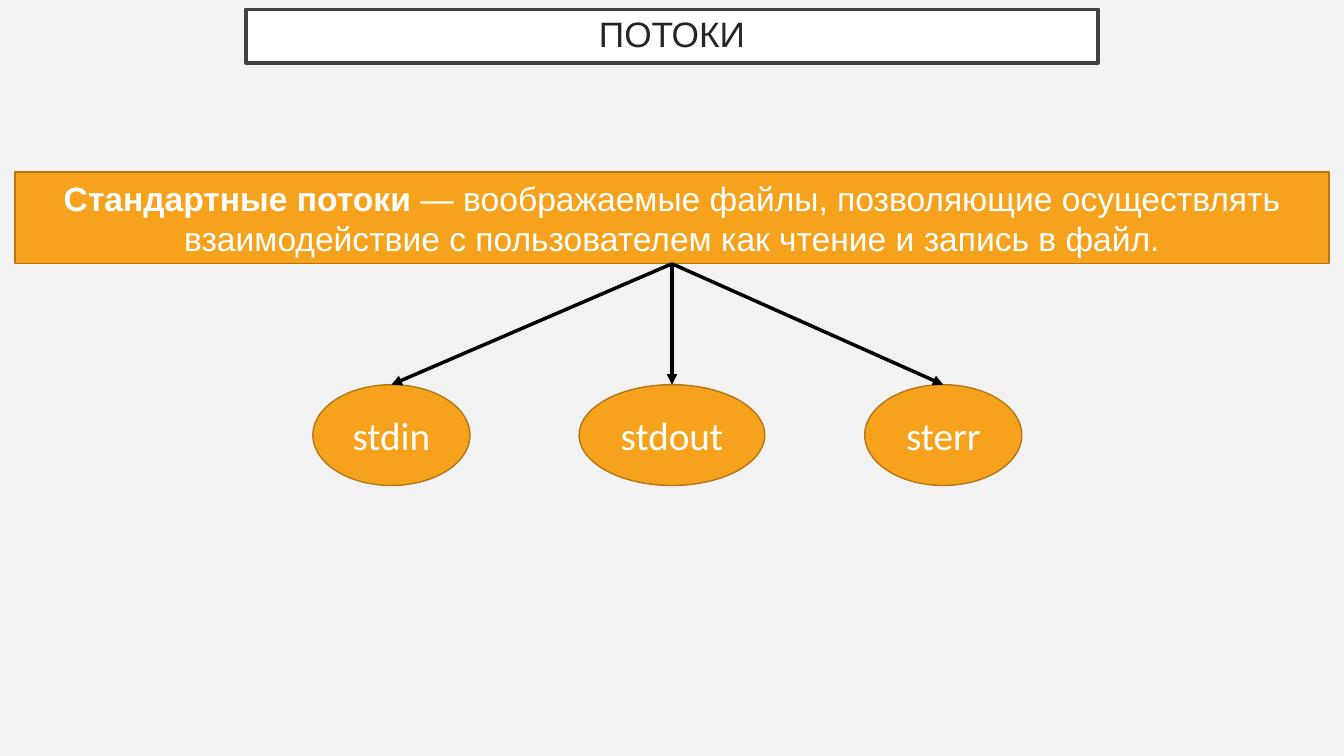
from dataclasses import dataclass

from lxml.etree import SubElement
from pptx import Presentation
from pptx.dml.color import RGBColor
from pptx.enum.shapes import MSO_CONNECTOR as Conn, MSO_SHAPE as Preset
from pptx.enum.text import MSO_ANCHOR as Anchor, MSO_AUTO_SIZE as AutoSize, PP_ALIGN as Align
from pptx.oxml.ns import qn
from pptx.shapes.autoshape import Shape
from pptx.slide import Slide
from pptx.util import Inches, Pt

COLUMNS, ROWS = 16, 9
CELL = Inches(7.5) // ROWS
BOTTOM_SITE, TOP_SITE = 2, 0


@dataclass(frozen=True)
class Theme:
    background: str = "F2F2F2"
    title_fill: str = "FFFFFF"
    title_line: str = "404040"
    title_text: str = "262626"
    accent: str = "F6A21D"
    accent_line: str = "B37615"
    accent_text: str = "FFFFFF"
    arrow: str = "000000"
    text_font: str = "Arial"
    stream_font: str = "Calibri"
    title_size: float = 25.2
    text_size: float = 24
    stream_size: float = 28
    thick: float = 2.5
    thin: float = 1


@dataclass(frozen=True)
class Box:
    """A box in grid columns and rows, placed by its horizontal centre."""
    center: float
    top: float
    width: float
    height: float


@dataclass(frozen=True)
class Stream:
    name: str
    center: float
    width: float


THEME = Theme()
TITLE = Box(COLUMNS / 2, 0.11, 10.14, 0.64)
BANNER = Box(COLUMNS / 2, 2.05, 15.64, 1.09)
STREAM_TOP, STREAM_HEIGHT = 4.58, 1.2
STREAMS = (
    Stream("stdin", 4.66, 1.87),
    Stream("stdout", COLUMNS / 2, 2.21),
    Stream("sterr", 11.23, 1.87),
)


def grid(cells: float) -> int:
    return round(cells * CELL)


def bounds(box: Box) -> tuple[int, int, int, int]:
    """Left, top, width and height in slide units."""
    return (grid(box.center - box.width / 2), grid(box.top),
            grid(box.width), grid(box.height))


def paint(sp: Shape, fill: str, line: str, width: float) -> None:
    sp.fill.solid()
    sp.fill.fore_color.rgb = RGBColor.from_string(fill)
    sp.line.color.rgb = RGBColor.from_string(line)
    sp.line.width = Pt(width)


def write(sp: Shape, runs: dict[str, bool], font: str, size: float, color: str) -> None:
    """Fill the shape with one centred paragraph; runs map text to bold."""
    tf = sp.text_frame
    tf.word_wrap = True
    tf.auto_size = AutoSize.NONE
    tf.vertical_anchor = Anchor.MIDDLE
    p = tf.paragraphs[0]
    p.alignment = Align.CENTER
    for text, bold in runs.items():
        r = p.add_run()
        r.text = text
        r.font.name = font
        r.font.size = Pt(size)
        r.font.bold = bold
        r.font.color.rgb = RGBColor.from_string(color)


def add_title(s: Slide) -> None:
    sp = s.shapes.title
    sp.left, sp.top, sp.width, sp.height = bounds(TITLE)
    paint(sp, THEME.title_fill, THEME.title_line, THEME.thick)
    write(sp, {"ПОТОКИ": False}, THEME.text_font, THEME.title_size, THEME.title_text)
    tf = sp.text_frame
    tf.margin_top = tf.margin_bottom = 0
    tf.paragraphs[0].line_spacing = 0.9


def add_accent(s: Slide, preset: Preset, box: Box, runs: dict[str, bool],
               font: str, size: float) -> Shape:
    sp = s.shapes.add_shape(preset, *bounds(box))
    sp.shadow.inherit = False
    paint(sp, THEME.accent, THEME.accent_line, THEME.thin)
    write(sp, runs, font, size, THEME.accent_text)
    return sp


def add_arrow(s: Slide, start: Shape, end: Shape) -> None:
    cn = s.shapes.add_connector(Conn.STRAIGHT, 0, 0, 0, 0)
    cn.begin_connect(start, BOTTOM_SITE)
    cn.end_connect(end, TOP_SITE)
    cn.line.color.rgb = RGBColor.from_string(THEME.arrow)
    cn.line.width = Pt(THEME.thick)
    SubElement(cn.line._get_or_add_ln(), qn("a:tailEnd"), type="triangle")
    SubElement(cn._element.spPr, qn("a:effectLst"))


def main() -> None:
    prs = Presentation()
    prs.slide_width, prs.slide_height = grid(COLUMNS), grid(ROWS)
    s = prs.slides.add_slide(prs.slide_layouts.get_by_name("Title Only"))
    s.background.fill.solid()
    s.background.fill.fore_color.rgb = RGBColor.from_string(THEME.background)

    add_title(s)
    definition = {
        "Стандартные потоки": True,
        " — воображаемые файлы, позволяющие осуществлять взаимодействие "
        "с пользователем как чтение и запись в файл.": False,
    }
    banner = add_accent(s, Preset.RECTANGLE, BANNER, definition,
                        THEME.text_font, THEME.text_size)
    for stream in STREAMS:
        box = Box(stream.center, STREAM_TOP, stream.width, STREAM_HEIGHT)
        oval = add_accent(s, Preset.OVAL, box, {stream.name: False},
                          THEME.stream_font, THEME.stream_size)
        add_arrow(s, banner, oval)
    prs.save("out.pptx")


if __name__ == "__main__":
    main()
